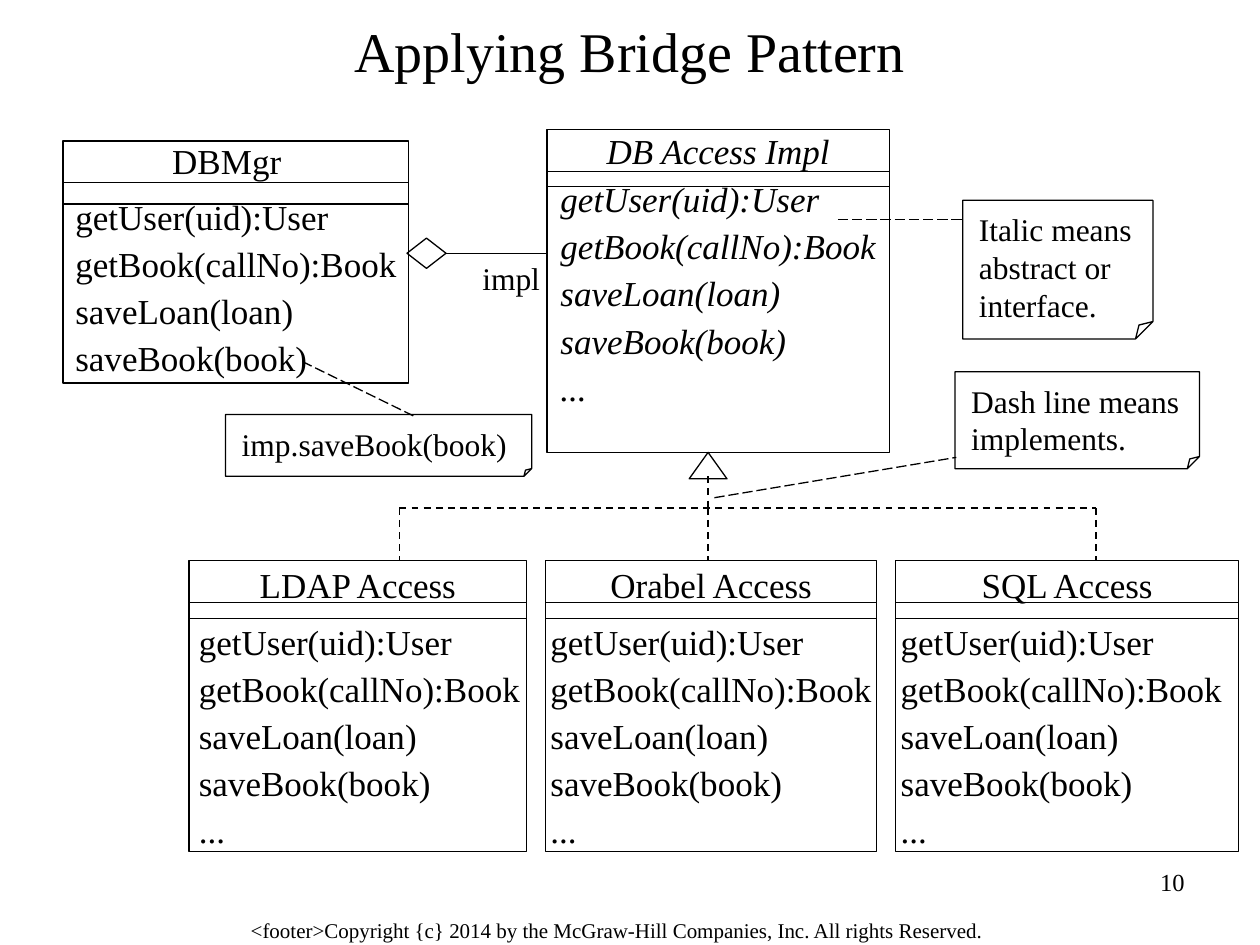
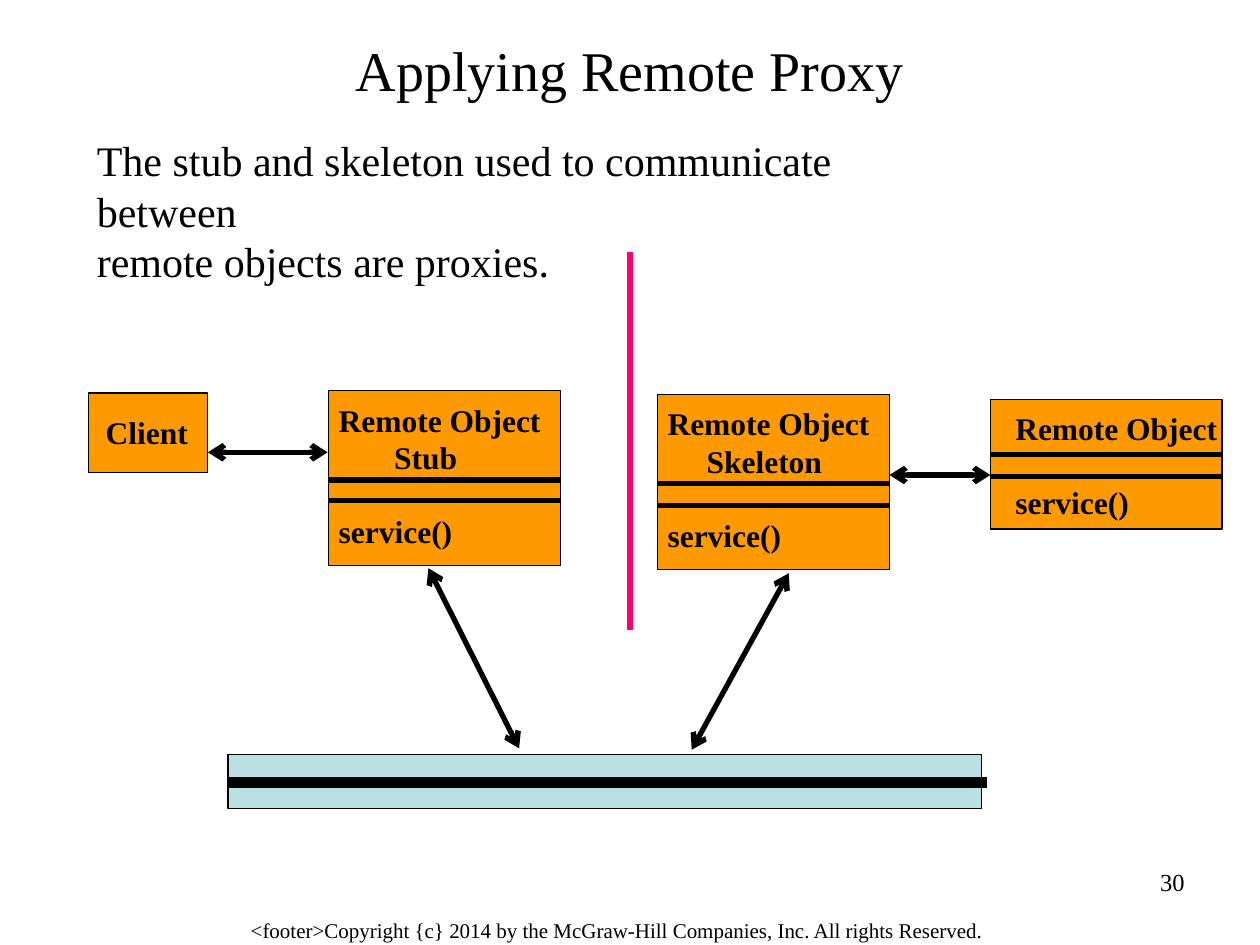
from lxml.etree import SubElement
from pptx import Presentation
from pptx.dml.color import RGBColor
from pptx.enum.dml import MSO_LINE
from pptx.enum.shapes import MSO_CONNECTOR, MSO_SHAPE
from pptx.enum.text import MSO_ANCHOR, PP_ALIGN
from pptx.oxml.ns import qn
from pptx.util import Inches, Pt

WIDE, HIGH = 10, 7.5
FONT = "Times New Roman"
BLACK = RGBColor(0x00, 0x00, 0x00)
ORANGE = RGBColor(0xFF, 0x99, 0x00)
TEAL = RGBColor(0xBB, 0xE0, 0xE3)
PINK = RGBColor(0xFF, 0x00, 0x66)
THIN, DASHED, THICK, JAGGED, CABLE = 0.75, 1, 3, 3.75, 6

FOOTER = "<footer>Copyright {c} 2014 by the McGraw-Hill Companies, Inc. All rights Reserved."

CALLS = ["getUser(uid):User", "getBook(callNo):Book", "saveLoan(loan)", "saveBook(book)"]
MORE = CALLS + ["..."]
ROW = 4.45
NAME_RULE = 0.33

# name, box, name shift, calls left, rule drop, calls gap, calls, italic
CLASSES = [
    ("DBMgr", (0.5, 1.12, 2.74, 1.92), (-0.07, -0.06), 0.5, 0.5, 0, CALLS, False),
    ("DB Access Impl", (4.34, 1.03, 2.72, 2.56), (0, -0.05), 4.35, 0.45, 0, MORE, True),
] + [
    (name, (left, ROW, width, 2.31), (0, -0.03), inner, 0.46, 0.08, MORE, False)
    for name, left, width, inner in [
        ("LDAP Access", 1.5, 2.68, 1.48),
        ("Orabel Access", 4.33, 2.63, 4.27),
        ("SQL Access", 7.11, 2.72, 7.05),
    ]
]

# words, box, text width, leader
NOTES = [
    ("Italic means abstract or interface.", (7.64, 1.59, 1.51, 1.1), 1.89, (6.65, 1.74, 7.64, 1.74)),
    ("Dash line means implements.", (7.58, 2.95, 1.94, 0.77), 1.89, (5.67, 3.95, 7.59, 3.63)),
    ("imp.saveBook(book)", (1.79, 3.29, 2.43, 0.49), 2.38, (2.4, 2.87, 3.28, 3.3)),
]

BAR, STEM = 4.03, 5.62
TREE = [(3.17, BAR, 8.7, BAR), (STEM, 3.78, STEM, BAR)] + [
    (x, BAR, x, ROW) for x in (3.17, STEM, 8.7)
]

INTRO = ["The stub and skeleton used to communicate between", "remote objects are proxies."]

# box, text shift, rule drops, lines of (words, indent, gap)
GAP = 20.7
OBJECTS = [
    ((0.7, 3.12, 0.95, 0.63), (0.04, 0.11), [], [("Client", 0, 0)]),
    ((2.61, 3.1, 1.84, 1.39), (-0.02, 0.03), [0.71, 0.87],
     [("Remote Object", 0, 0), ("Stub", 0.44, 0), ("service()", 0, GAP)]),
    ((5.22, 3.13, 1.84, 1.39), (-0.02, 0.03), [0.71, 0.88],
     [("Remote Object", 0, 0), ("Skeleton", 0.31, 0), ("service()", 0, GAP)]),
    ((7.86, 3.17, 1.84, 1.03), (0.1, 0.03), [0.44, 0.61],
     [("Remote Object", 0, 0), ("service()", 0, GAP)]),
]
LINKS = [
    (1.65, 3.59, 2.6, 3.59),
    (3.4, 4.51, 4.12, 5.94),
    (6.26, 4.55, 5.49, 5.95),
    (7.06, 3.77, 7.86, 3.77),
]
JAG = [(4.71, 2.48), (5, 3.04), (4.69, 3.72), (5, 4.24), (4.71, 4.88), (5, 5.26)]
NET = (1.81, 5.99, 5.98, 0.43)


def add_text(slide, box, lines, size, align=PP_ALIGN.LEFT, wrap=True,
             bold=False, italic=False, pad=(0.1, 0.05)):
    frame = slide.shapes.add_textbox(*map(Inches, box)).text_frame
    frame.word_wrap = wrap
    frame.margin_left = frame.margin_right = Inches(pad[0])
    frame.margin_top = frame.margin_bottom = Inches(pad[1])
    frame.text = "\n".join(lines)
    for par in frame.paragraphs:
        par.alignment = align
        for run in par.runs:
            font = run.font
            font.name, font.size = FONT, Pt(size)
            font.bold, font.italic = bold, italic
            font.color.rgb = BLACK
    return frame


def style(shape, fill=None, color=BLACK, width=THIN):
    shape.shadow.inherit = False
    if fill is None:
        shape.fill.background()
    else:
        shape.fill.solid()
        shape.fill.fore_color.rgb = fill
    shape.line.color.rgb = color
    shape.line.width = Pt(width)
    return shape


def add_box(slide, kind, box, fill=None):
    return style(slide.shapes.add_shape(kind, *map(Inches, box)), fill)


def add_line(slide, ends, width=THIN, dash=None, arrows=False):
    link = slide.shapes.add_connector(MSO_CONNECTOR.STRAIGHT, *map(Inches, ends))
    link.line.color.rgb = BLACK
    link.line.width = Pt(width)
    if dash:
        link.line.dash_style = dash
    props = link._element.spPr
    if arrows:
        for end in ("a:headEnd", "a:tailEnd"):
            SubElement(props.find(qn("a:ln")), qn(end)).set("type", "arrow")
    SubElement(props, qn("a:effectLst"))


def add_rules(slide, box, drops, width=THIN):
    left, top, wide, _ = box
    for drop in drops:
        add_line(slide, (left, top + drop, left + wide, top + drop), width)


def add_page(deck, title, top, number):
    slide = deck.slides.add_slide(deck.slide_layouts[6])
    add_text(slide, (1.88, 7.22, 6.19, 0.31), [FOOTER], 12, pad=(0.11, 0.06))
    frame = add_text(slide, (0.5, top, 9, 0.75), [title], 32, PP_ALIGN.CENTER)
    frame.vertical_anchor = MSO_ANCHOR.MIDDLE
    add_text(slide, (7.17, 6.83, 2.33, 0.52), [str(number)], 14, PP_ALIGN.RIGHT)
    return slide


def add_class(slide, name, box, shift, inner, drop, gap, calls, italic):
    left, top, wide, _ = box
    add_box(slide, MSO_SHAPE.RECTANGLE, box)
    add_text(slide, (left + shift[0], top + shift[1], wide, 0.44), [name], 20,
             PP_ALIGN.CENTER, italic=italic)
    add_rules(slide, box, [NAME_RULE, drop])
    frame = add_text(slide, (inner, top + drop + gap, 2.83, 1.8), calls, 20, italic=italic)
    for i, par in enumerate(frame.paragraphs):
        par.line_spacing = 0.6
        par.space_before = Pt(12.5 if i else 0)


def add_note(slide, words, box, wide, leader):
    left, top, _, high = box
    note = add_box(slide, MSO_SHAPE.FOLDED_CORNER, box)
    geom = note._element.spPr.find(qn("a:prstGeom"))
    fold = SubElement(geom.find(qn("a:avLst")), qn("a:gd"))
    fold.set("name", "adj")
    fold.set("fmla", "val 12500")
    add_text(slide, (left + 0.03, top + 0.03, wide, high - 0.08), [words], 18)
    add_line(slide, leader, dash=MSO_LINE.LONG_DASH)


def add_object(slide, box, shift, drops, lines):
    left, top, wide, high = box
    add_box(slide, MSO_SHAPE.RECTANGLE, box, ORANGE)
    frame = add_text(slide, (left + shift[0], top + shift[1], wide, high - 0.1),
                     [line[0] for line in lines], 18, bold=True)
    for par, (_, indent, gap) in zip(frame.paragraphs, lines):
        par._p.get_or_add_pPr().set("marL", str(Inches(indent)))
        par.space_before = Pt(gap)
    add_rules(slide, box, drops, THICK)


def draw_bridge(deck):
    slide = add_page(deck, "Applying Bridge Pattern", 0.02, 10)
    for item in CLASSES:
        add_class(slide, *item)
    for ends in TREE:
        add_line(slide, ends, DASHED, MSO_LINE.DASH)
    add_box(slide, MSO_SHAPE.ISOSCELES_TRIANGLE, (5.47, 3.59, 0.3, 0.21))
    add_box(slide, MSO_SHAPE.DIAMOND, (3.23, 1.89, 0.31, 0.24))
    add_line(slide, (3.53, 2.01, 4.34, 2.01))
    add_text(slide, (3.73, 2.01, 0.66, 0.4), ["impl"], 18, wrap=False)
    for item in NOTES:
        add_note(slide, *item)


def draw_proxy(deck):
    slide = add_page(deck, "Applying Remote Proxy", 0.17, 30)
    add_text(slide, (0.67, 1.02, 7.22, 0.9), INTRO, 24, wrap=False)
    for item in OBJECTS:
        add_object(slide, *item)
    pen = slide.shapes.build_freeform(*JAG[0], scale=Inches(1))
    pen.add_line_segments(JAG[1:], close=False)
    style(pen.convert_to_shape(), color=PINK, width=JAGGED)
    add_box(slide, MSO_SHAPE.RECTANGLE, NET, TEAL)
    add_line(slide, (1.81, 6.21, 7.83, 6.21), CABLE)
    for ends in LINKS:
        add_line(slide, ends, THICK, arrows=True)


def main():
    deck = Presentation()
    deck.slide_width, deck.slide_height = Inches(WIDE), Inches(HIGH)
    draw_bridge(deck)
    draw_proxy(deck)
    deck.save("out.pptx")


if __name__ == "__main__":
    main()
